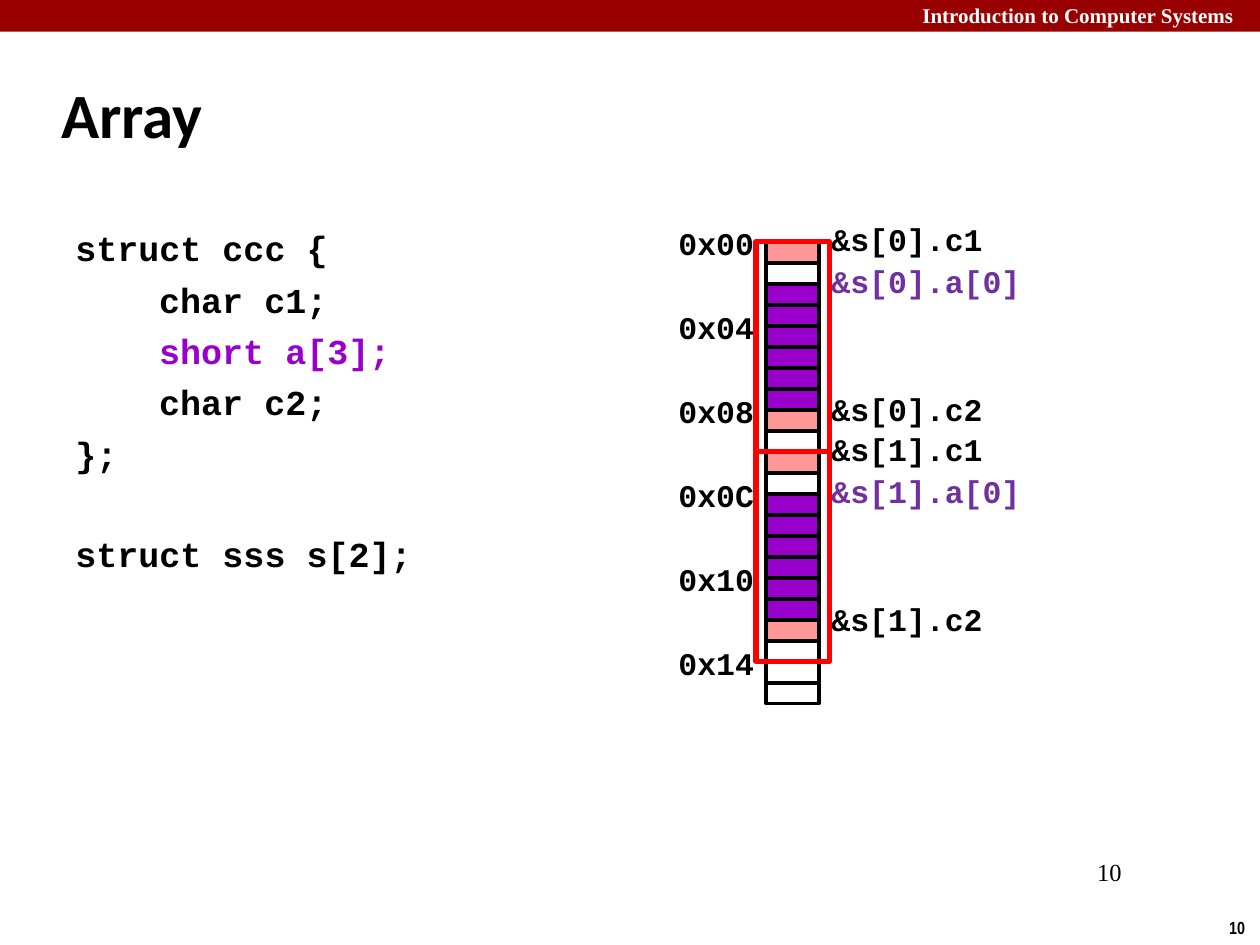
from pptx import Presentation
from pptx.dml.color import RGBColor
from pptx.enum.shapes import MSO_SHAPE
from pptx.enum.text import MSO_ANCHOR, PP_ALIGN
from pptx.util import Cm, Pt

RECTANGLE = MSO_SHAPE.RECTANGLE
LEFT, RIGHT = PP_ALIGN.LEFT, PP_ALIGN.RIGHT
TOP, MIDDLE = MSO_ANCHOR.TOP, MSO_ANCHOR.MIDDLE

BLACK = RGBColor(0x00, 0x00, 0x00)
WHITE = RGBColor(0xFF, 0xFF, 0xFF)
DARK_RED = RGBColor(0x99, 0x00, 0x00)
RED = RGBColor(0xFF, 0x00, 0x00)
PINK = RGBColor(0xFF, 0x97, 0x97)
PURPLE = RGBColor(0x99, 0x00, 0xCC)
VIOLET = RGBColor(0x70, 0x30, 0xA0)

CODE_FONT = "Courier New"
SERIF_FONT = "Times New Roman"

BYTE_HEIGHT = Cm(2.54) // 6
BYTE_COUNT = 22
STRUCT_SIZE = 10
STRUCT_COUNT = 2
CHAR_OFFSETS = (0, 8)
ARRAY_OFFSETS = range(2, 8)
ADDRESS_STEP = 4

# Field name, byte offset, rise of the label above its byte, colour
FIELDS = [
    ("c1", 0, Cm(0.55), BLACK),
    ("a[0]", 2, Cm(0.55), VIOLET),
    ("c2", 8, Cm(0.52), BLACK),
]

# Text, indent, space before, colour
CODE_LINES = [
    ("struct ccc {", 0, 5.3, BLACK),
    ("char c1;", Cm(1.69), 5.3, BLACK),
    ("short a[3];", Cm(1.69), 5.3, PURPLE),
    ("char c2;", Cm(1.69), 5.3, BLACK),
    ("};", 0, 5.3, BLACK),
    ("struct sss s[2];", 0, 33.3, BLACK),
]


def format_paragraph(paragraph, text, font, size, color, bold=True, align=LEFT, before=0):
    paragraph.text = text
    paragraph.alignment = align
    paragraph.space_before = Pt(before)
    run_font = paragraph.runs[0].font
    run_font.name = font
    run_font.size = Pt(size)
    run_font.bold = bold
    run_font.color.rgb = color


def add_text(slide, box, text, font, size, color, anchor=TOP, wrap=True, **style):
    text_frame = slide.shapes.add_textbox(*box).text_frame
    text_frame.word_wrap = wrap
    text_frame.vertical_anchor = anchor
    format_paragraph(text_frame.paragraphs[0], text, font, size, color, **style)


def add_rectangle(slide, box, fill=None, line=None, line_width=2.25):
    shape = slide.shapes.add_shape(RECTANGLE, *box)
    shape.shadow.inherit = False
    if fill is None:
        shape.fill.background()
    else:
        shape.fill.solid()
        shape.fill.fore_color.rgb = fill
    if line is None:
        shape.line.fill.background()
    else:
        shape.line.color.rgb = line
        shape.line.width = Pt(line_width)


def add_header(slide, left, top, width, height):
    add_rectangle(slide, (left, top, width, height), fill=DARK_RED)
    text_width = Cm(10.21)
    add_text(slide, (left + width - text_width - Cm(0.28), top - Cm(0.08), text_width, Cm(0.76)),
             "Introduction to Computer Systems", SERIF_FONT, 12, WHITE, align=RIGHT)


def add_page_numbers(slide, left, top):
    add_text(slide, (left, top, Cm(3.61), Cm(1.27)), "10", SERIF_FONT, 14, BLACK,
             bold=False, align=RIGHT)
    add_text(slide, (left + Cm(5.28), top + Cm(1.22), Cm(0.86), Cm(0.69)), "10",
             "Arial Narrow", 10, BLACK, wrap=False)


def add_code(slide, left, top, width, height):
    text_frame = slide.shapes.add_textbox(left, top, width, height).text_frame
    text_frame.word_wrap = True
    for number, (text, indent, before, color) in enumerate(CODE_LINES):
        paragraph = text_frame.paragraphs[0] if number == 0 else text_frame.add_paragraph()
        format_paragraph(paragraph, text, CODE_FONT, 20, color, before=before)
        paragraph._p.get_or_add_pPr().set("marL", str(int(indent)))


def byte_color(byte):
    """Return the fill of a byte, or None for padding and unused bytes."""
    struct, offset = divmod(byte, STRUCT_SIZE)
    if struct >= STRUCT_COUNT:
        return None
    if offset in CHAR_OFFSETS:
        return PINK
    return PURPLE if offset in ARRAY_OFFSETS else None


def add_memory(slide, left, top, width):
    """Draw the byte column in the given box, with labels on both sides."""
    label_height = Cm(1.02)
    label_style = {"font": CODE_FONT, "size": 18, "before": 3.6}

    for byte in range(BYTE_COUNT):
        add_rectangle(slide, (left, top + byte * BYTE_HEIGHT, width, BYTE_HEIGHT),
                      fill=byte_color(byte), line=BLACK)

    address_width = Cm(2.12)
    for address in range(0, BYTE_COUNT, ADDRESS_STEP):
        label_top = top + address * BYTE_HEIGHT - Cm(0.48)
        add_text(slide, (left - address_width, label_top, address_width, label_height),
                 f"0x{address:02X}", color=BLACK, align=RIGHT, **label_style)

    margin = Cm(0.21)
    struct_height = STRUCT_SIZE * BYTE_HEIGHT
    for index in range(STRUCT_COUNT):
        struct_top = top + index * struct_height
        for name, offset, rise, color in FIELDS:
            label_top = struct_top + offset * BYTE_HEIGHT - rise
            add_text(slide, (left + width, label_top, Cm(4.87), label_height),
                     f"&s[{index}].{name}", color=color, **label_style)
        add_rectangle(slide, (left - margin, struct_top, width + 2 * margin, struct_height),
                      line=RED, line_width=3)


def main():
    presentation = Presentation()
    presentation.slide_width = Cm(25.4)
    presentation.slide_height = Cm(19.05)
    slide = presentation.slides.add_slide(presentation.slide_layouts[6])

    add_header(slide, 0, 0, presentation.slide_width, Cm(0.64))
    add_page_numbers(slide, Cm(19.25), Cm(17.15))
    add_text(slide, (Cm(0.99), Cm(1.22), Cm(21.08), Cm(2.11)), "Array", "Calibri", 36, BLACK,
             anchor=MIDDLE)
    add_code(slide, Cm(1.27), Cm(4.45), Cm(8.46), Cm(10.8))
    add_memory(slide, Cm(15.45), Cm(4.87), Cm(1.06))

    presentation.save("out.pptx")


if __name__ == "__main__":
    main()
